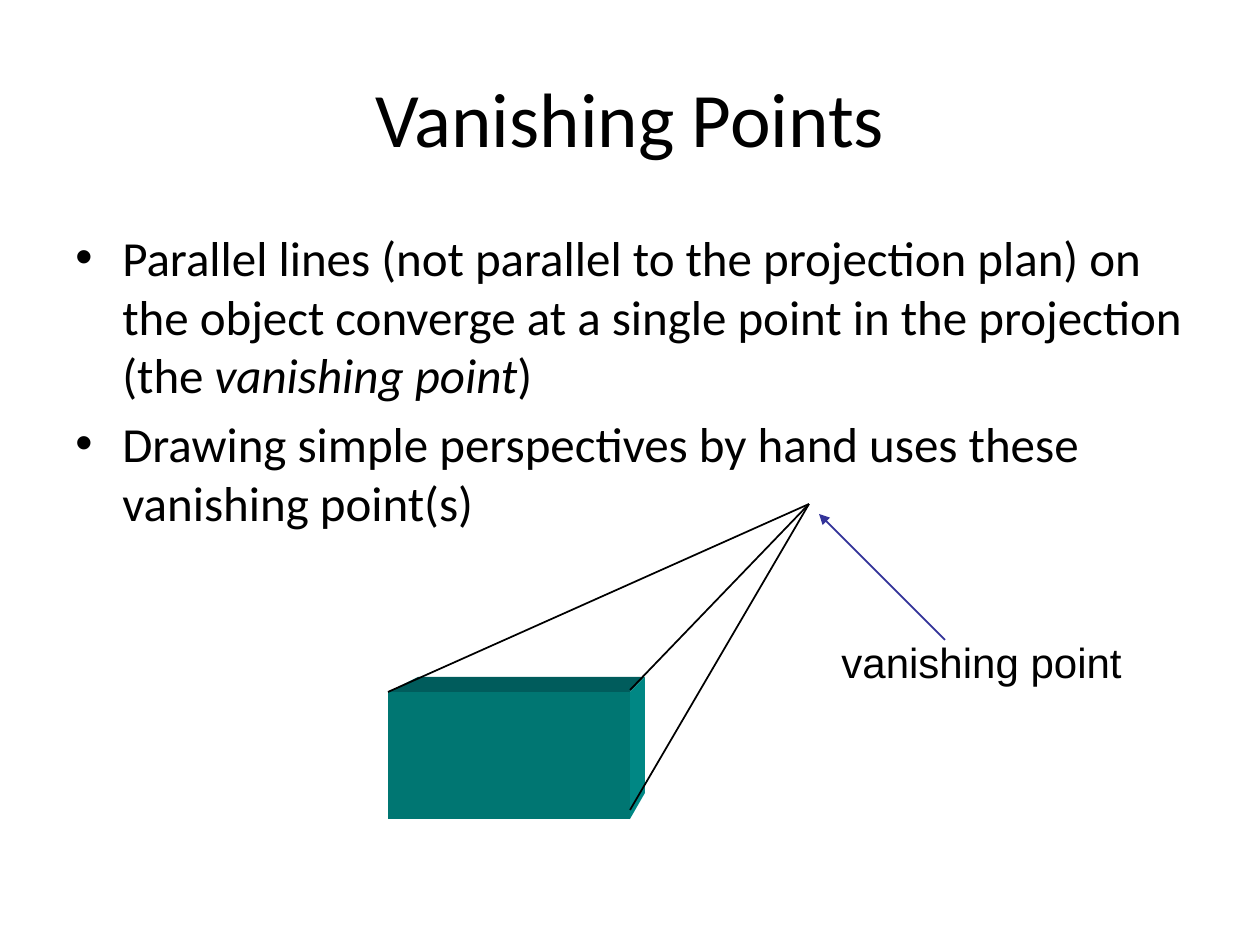
import pptx
import pptx.util
import pptx.dml.color
import pptx.enum.shapes
import pptx.enum.text
import pptx.oxml.ns
import lxml.etree

UNIT = 914400 / 126
RGB = pptx.dml.color.RGBColor
BLACK = RGB(0x00, 0x00, 0x00)
BLUE = RGB(0x33, 0x33, 0x99)
FRONT = RGB(0x00, 0x76, 0x72)
TOP = RGB(0x00, 0x5C, 0x5C)
SIDE = RGB(0x00, 0x87, 0x84)
Pt = pptx.util.Pt
qn = pptx.oxml.ns.qn
sub = lxml.etree.SubElement


def px(num):
    return pptx.util.Emu(round(num * UNIT))


def add_box(slide, box, wrap=True):
    frame = slide.shapes.add_textbox(*map(px, box)).text_frame
    frame.word_wrap = wrap
    return frame


def add_run(para, text, size, font="Calibri", slant=False):
    run = para.add_run()
    run.text = text
    run.font.size = Pt(size)
    run.font.name = font
    run.font.italic = slant
    run.font.color.rgb = BLACK


def add_line(slide, start, end, color, arrow=False):
    kind = pptx.enum.shapes.MSO_CONNECTOR.STRAIGHT
    line = slide.shapes.add_connector(kind, *map(px, start + end))
    line.line.color.rgb = color
    line.line.width = Pt(1)
    if arrow:
        sub(line.line._get_or_add_ln(), qn("a:tailEnd"), type="triangle")
    sub(line._element.spPr, qn("a:effectLst"))


def add_face(slide, points, color):
    form = slide.shapes.build_freeform(*points[0], scale=UNIT)
    form.add_line_segments(points[1:], close=True)
    face = form.convert_to_shape()
    face.shadow.inherit = False
    face.fill.solid()
    face.fill.fore_color.rgb = color
    face.line.fill.background()


def add_title(slide, box):
    frame = add_box(slide, box)
    frame.vertical_anchor = pptx.enum.text.MSO_ANCHOR.MIDDLE
    para = frame.paragraphs[0]
    para.alignment = pptx.enum.text.PP_ALIGN.CENTER
    add_run(para, "Vanishing Points", 44)


def add_body(slide, box):
    items = [
        [("Parallel lines (not parallel to the projection plan) on the object "
          "converge at a single point in the projection (the ", False),
         ("vanishing point", True), (")", False)],
        [("Drawing simple perspectives by hand uses these vanishing point(s)",
          False)],
    ]
    frame = add_box(slide, box)
    for num, item in enumerate(items):
        para = frame.add_paragraph() if num else frame.paragraphs[0]
        para.space_before = Pt(5.6)
        props = para._p.get_or_add_pPr()
        props.set("marL", str(px(47)))
        props.set("indent", str(px(-47)))
        sub(props, qn("a:buFont"), typeface="Arial")
        sub(props, qn("a:buChar"), char="•")
        for text, slant in item:
            add_run(para, text, 28, slant=slant)


def add_solid(slide, box, apex):
    left, top, width, height = box
    right, base = left + width, top + height
    deep = 15
    back = (right + deep, top - deep)
    add_face(slide, [(left, top), (left + 2 * deep, top - deep), back,
                     (right, top)], TOP)
    add_face(slide, [(right, top), back, (right + deep, base - 26),
                     (right, base)], SIDE)
    add_face(slide, [(left, top), (right, top), (right, base),
                     (left, base)], FRONT)
    for start in [(right, base - 9), (right, top - 2), (left, top)]:
        add_line(slide, start, apex, BLACK)


def add_label(slide, box):
    left, top = box[:2]
    add_line(slide, (left + 116, top + 10), (left - 10, top - 116), BLUE, True)
    frame = add_box(slide, box, False)
    add_run(frame.paragraphs[0], "vanishing point", 24, "Arial")


def main():
    deck = pptx.Presentation()
    deck.slide_width, deck.slide_height = px(1260), px(945)
    slide = deck.slides.add_slide(deck.slide_layouts[6])
    add_title(slide, (63, 38, 1134, 157))
    add_body(slide, (63, 221, 1134, 624))
    add_solid(slide, (388, 692, 242, 127), (809, 504))
    add_label(slide, (829, 630, 306, 63))
    deck.save("out.pptx")


if __name__ == "__main__":
    main()
